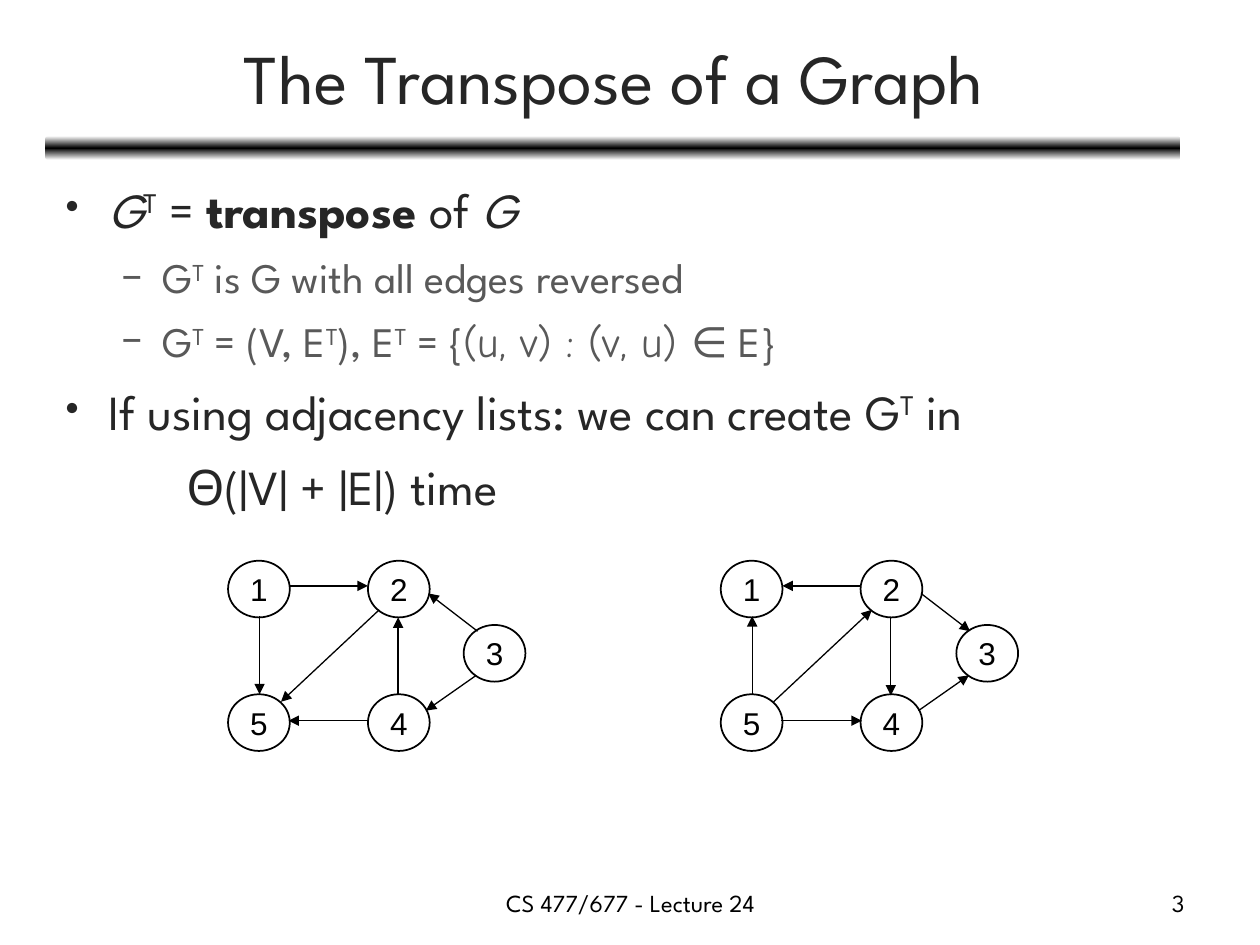
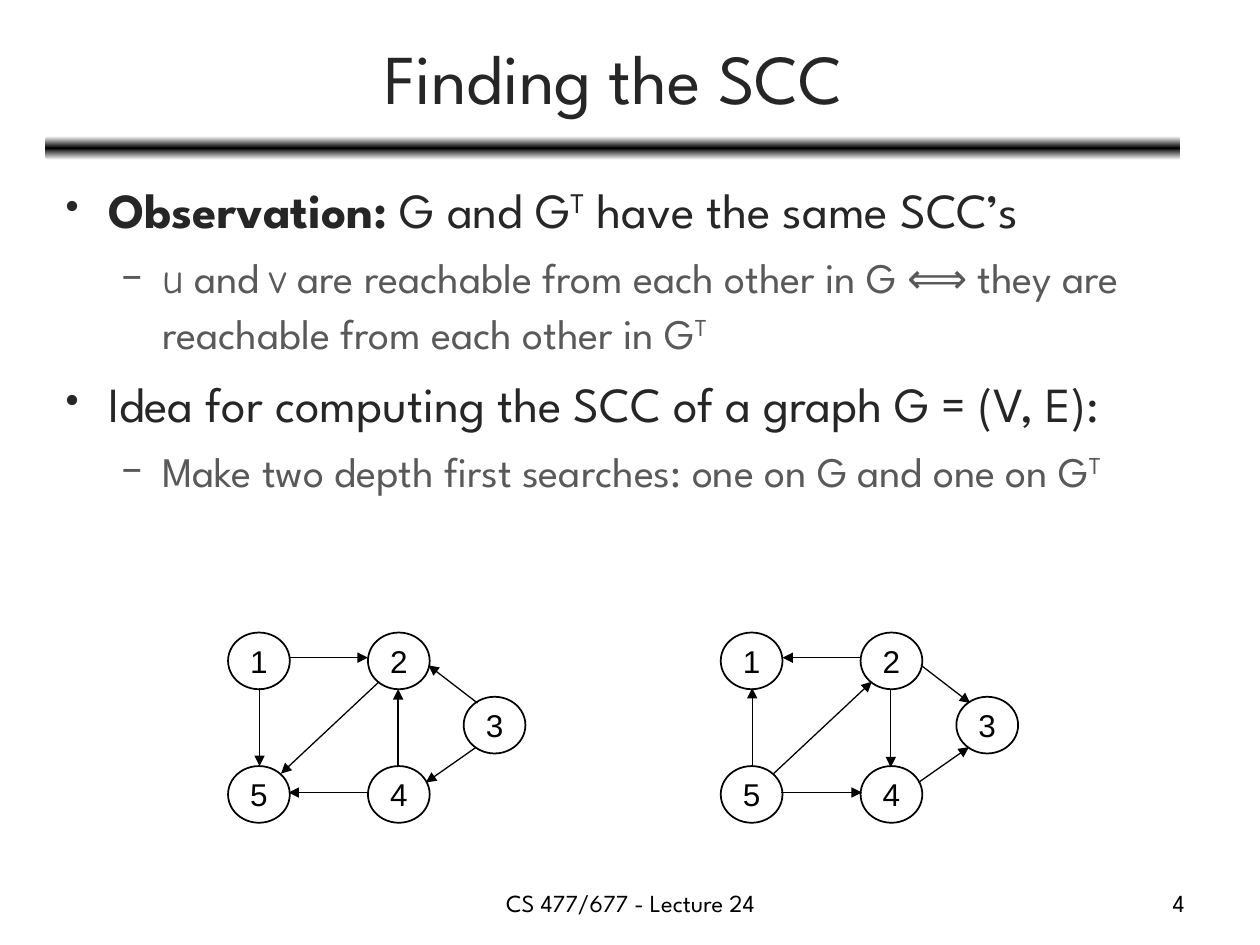
from copy import deepcopy
from dataclasses import dataclass
from typing import NamedTuple

from lxml import etree
from pptx import Presentation
from pptx.dml.color import RGBColor
from pptx.enum import shapes, text
from pptx.oxml.ns import qn
from pptx.util import Inches, Pt


@dataclass(frozen=True)
class Theme:
    ink: RGBColor = RGBColor(0x26, 0x26, 0x26)
    gray: RGBColor = RGBColor(0x59, 0x59, 0x59)
    black: RGBColor = RGBColor(0, 0, 0)
    white: RGBColor = RGBColor(0xFF, 0xFF, 0xFF)
    face: str = "League Spartan"
    hand: str = "Comic Neue"
    plain: str = "Arial"
    title: int = 40
    body: int = 28
    sub: int = 24
    node: int = 18
    foot: int = 14


THEME = Theme()
ALIGN = text.PP_ALIGN


class Run(NamedTuple):
    text: str
    bold: bool = False
    slant: bool = False
    sup: bool = False
    face: str = THEME.face


class Style(NamedTuple):
    size: int
    color: RGBColor
    level: int = 0
    left: float = 0
    hang: float = 0
    mark: str = ""


class Line(NamedTuple):
    style: Style
    runs: list[Run]


class Page(NamedTuple):
    title: str
    lines: list[Line]
    top: float  # top edge of both graphs


class Edge(NamedTuple):
    start: tuple[float, float]
    end: tuple[float, float]


POINT = Style(THEME.body, THEME.ink, 0, 0.38, 0.38, "•")
DASH = Style(THEME.sub, THEME.gray, 1, 0.81, 0.31, "–")
INSET = Style(THEME.body, THEME.ink, left=1)
TITLE = Style(THEME.title, THEME.ink)
FOOT = Style(THEME.foot, THEME.black)
LABEL = Style(THEME.node, THEME.black)
SUP = Run("T", sup=True)

# Graph layout, measured from the top left corner of node 1
NODE_W, NODE_H = 0.49, 0.45
NODES = {"1": (0, 0), "2": (1.11, 0), "3": (1.87, 0.51), "4": (1.11, 1.06), "5": (0, 1.06)}
EDGES = [
    Edge((0.49, 0.2), (1.11, 0.2)),
    Edge((1.35, 1.07), (1.35, 0.45)),
    Edge((0.25, 0.44), (0.25, 1.06)),
    Edge((1.2, 0.39), (0.42, 1.12)),
    Edge((1.12, 1.27), (0.48, 1.27)),
    Edge((1.98, 0.56), (1.59, 0.26)),
    Edge((1.97, 0.91), (1.57, 1.19)),
]
FLIPPED = [Edge(edge.end, edge.start) for edge in EDGES]
LEFT_X, RIGHT_X = 1.81, 5.72

PAGES = [
    Page("The Transpose of a Graph", [
        Line(POINT, [Run("G", slant=True), SUP, Run(" = "), Run("transpose ", bold=True),
                     Run("of "), Run("G", slant=True)]),
        Line(DASH, [Run("G"), SUP, Run(" is G with all edges reversed")]),
        Line(DASH, [Run("G"), SUP, Run(" = (V, E"), SUP, Run("), E"), SUP, Run(" = {"),
                    Run("(u, v) : (v, u) ", face=THEME.hand), Run("∈ E}")]),
        Line(POINT, [Run("If using adjacency lists: we can create G"), SUP, Run(" in")]),
        Line(INSET, [Run("Θ(|V| + |E|) time")]),
    ], 4.45),
    Page("Finding the SCC", [
        Line(POINT, [Run("Observation: ", bold=True), Run("G and G"), SUP,
                     Run(" have the same SCC’s")]),
        Line(DASH, [Run("u", face=THEME.hand), Run(" and "), Run("v", face=THEME.hand),
                    Run(" are reachable from each other in G ⟺ they are "
                        "reachable from each other in G"), SUP]),
        Line(POINT, [Run("Idea for computing the SCC of a graph G = (V, E):")]),
        Line(DASH, [Run("Make two depth first searches: one on G and one on G"), SUP]),
    ], 5.02),
]


def write(shape, lines: list[Line], *, align=ALIGN.LEFT, anchor=text.MSO_ANCHOR.TOP,
          wrap: bool = True, pitch: float = 1, gap: float = 0) -> None:
    """Fill a shape with lines; gap is the space before, as a share of the type size."""
    frame = shape.text_frame
    frame.word_wrap, frame.vertical_anchor = wrap, anchor
    for i, (style, runs) in enumerate(lines):
        para = frame.add_paragraph() if i else frame.paragraphs[0]
        para.alignment, para.level, para.line_spacing = align, style.level, pitch
        if i:
            para.space_before = Pt(gap * style.size)
        props = para._p.get_or_add_pPr()
        props.set("marL", str(Inches(style.left)))
        props.set("indent", str(-Inches(style.hang)))
        if style.mark:
            etree.SubElement(props, qn("a:buFont"), typeface=THEME.face)
            etree.SubElement(props, qn("a:buChar"), char=style.mark)
        for part in runs:
            run = para.add_run()
            run.text = part.text
            font = run.font
            font.name, font.size, font.color.rgb = part.face, Pt(style.size), style.color
            font.bold, font.italic = part.bold, part.slant
            if part.sup:
                run._r.get_or_add_rPr().set("baseline", "30000")


def add_box(slide, x: float, y: float, w: float, h: float, lines: list[Line], **form) -> None:
    box = slide.shapes.add_textbox(Inches(x), Inches(y), Inches(w), Inches(h))
    write(box, lines, **form)


def add_bar(slide) -> None:
    bar = slide.shapes.add_shape(shapes.MSO_SHAPE.ROUNDED_RECTANGLE,
                                 Inches(0.36), Inches(1.08), Inches(9.01), Inches(0.19))
    bar.shadow.inherit = False
    bar.line.fill.background()
    bar.fill.gradient()
    bar.fill.gradient_angle = 90
    stops = bar._element.spPr.find(".//" + qn("a:gsLst"))
    stops.append(deepcopy(stops[0]))
    tones = (THEME.white, THEME.black, THEME.white)
    for i, (stop, tone) in enumerate(zip(bar.fill.gradient_stops, tones)):
        stop.position, stop.color.rgb = i / 2, tone


def add_node(group, x: float, y: float, name: str) -> None:
    node = group.shapes.add_shape(shapes.MSO_SHAPE.OVAL, Inches(x), Inches(y),
                                  Inches(NODE_W), Inches(NODE_H))
    node.shadow.inherit = False
    node.fill.background()
    node.line.color.rgb, node.line.width = THEME.black, Pt(1)
    write(node, [Line(LABEL, [Run(name, face=THEME.plain)])], align=ALIGN.CENTER,
          anchor=text.MSO_ANCHOR.MIDDLE, wrap=False)


def add_edge(group, x: float, y: float, edge: Edge) -> None:
    ends = [Inches(base + shift) for point in edge for base, shift in zip((x, y), point)]
    arrow = group.shapes.add_connector(shapes.MSO_CONNECTOR.STRAIGHT, *ends)
    arrow.line.color.rgb, arrow.line.width = THEME.black, Pt(0.75)
    etree.SubElement(arrow.line._get_or_add_ln(), qn("a:tailEnd"), type="triangle")
    etree.SubElement(arrow._element.spPr, qn("a:effectLst"))


def add_graph(slide, x: float, y: float, edges: list[Edge]) -> None:
    group = slide.shapes.add_group_shape()
    for name, (dx, dy) in NODES.items():
        add_node(group, x + dx, y + dy, name)
    for edge in edges:
        add_edge(group, x, y, edge)


def add_page(deck, page: Page, number: int) -> None:
    slide = deck.slides.add_slide(deck.slide_layouts[6])
    add_bar(slide)
    add_box(slide, 3.42, 7, 3.17, 0.35, [Line(FOOT, [Run("CS 477/677 - Lecture 24")])],
            align=ALIGN.CENTER)
    add_box(slide, 0.37, 0.11, 9, 0.99, [Line(TITLE, [Run(page.title)])],
            align=ALIGN.CENTER, anchor=text.MSO_ANCHOR.MIDDLE)
    add_box(slide, 0.38, 1.33, 9.42, 3.03, page.lines, pitch=1.1, gap=0.2)
    add_graph(slide, LEFT_X, page.top, EDGES)
    add_graph(slide, RIGHT_X, page.top, FLIPPED)
    add_box(slide, 7.17, 7, 2.33, 0.35, [Line(FOOT, [Run(str(number))])], align=ALIGN.RIGHT)


def main() -> None:
    deck = Presentation()
    deck.slide_width, deck.slide_height = Inches(10), Inches(7.5)
    for number, page in enumerate(PAGES, start=3):
        add_page(deck, page, number)
    deck.save("out.pptx")


if __name__ == "__main__":
    main()
